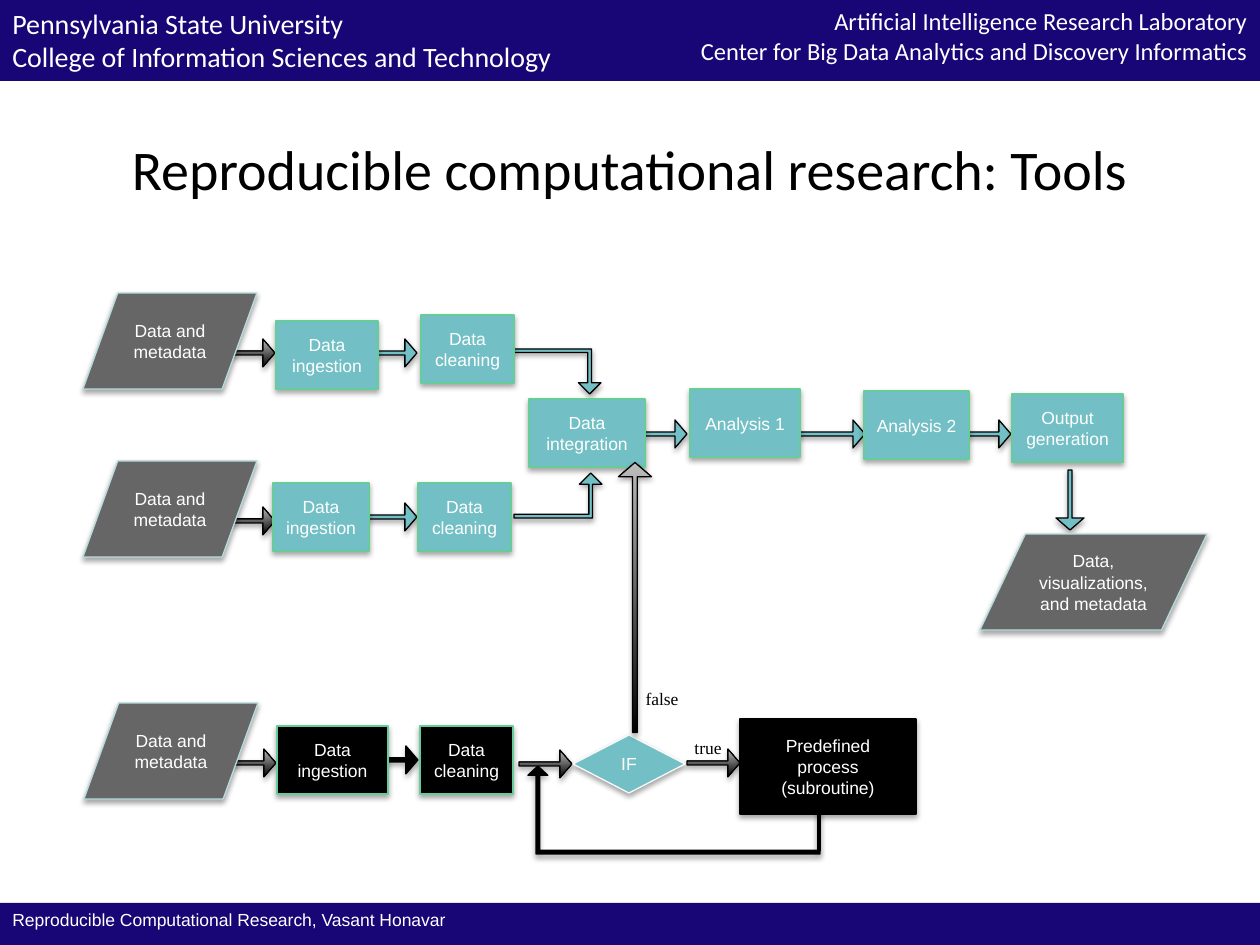
from lxml.etree import SubElement
from pptx import Presentation
from pptx.dml.color import RGBColor
from pptx.enum.shapes import MSO_CONNECTOR, MSO_SHAPE as Preset
from pptx.enum.text import MSO_ANCHOR as Anchor, PP_ALIGN as Align
from pptx.oxml.ns import qn
from pptx.util import Emu, Pt

NAVY = RGBColor(0x18, 0x05, 0x76)
TEAL = RGBColor(0x72, 0xBF, 0xC5)
GREEN = RGBColor(0x66, 0xCC, 0x99)
PALE = RGBColor(0xB6, 0xDC, 0xDF)
GRAY = RGBColor(0x66, 0x66, 0x66)
SILVER = RGBColor(0xBD, 0xBD, 0xBD)
SNOW = RGBColor(0xF9, 0xF9, 0xF9)
WHITE = RGBColor(0xFF, 0xFF, 0xFF)
BLACK = RGBColor(0, 0, 0)
FADE = [BLACK, SILVER]

WIDTH, HEIGHT = 1260, 945
SCALE = 914400 / 126

BANDS = [
    (["Pennsylvania State University", "College of Information Sciences and Technology"],
     (0, 0, 1260, 81), 16, "Calibri", Align.LEFT),
    (["Artificial Intelligence Research Laboratory",
      "Center for Big Data Analytics and Discovery Informatics"],
     (577, 0, 683, 72), 14, "Calibri", Align.RIGHT),
    (["Reproducible Computational Research, Vasant Honavar"],
     (0, 903, 1260, 42), 10, "Arial", Align.LEFT),
]
TITLE = ("Reproducible computational research: Tools", (0, 120, 1260, 97), 32, "Calibri")
LABELS = [
    ("false", (626, 682, 72, 34), 10, "Times New Roman"),
    ("true", (679, 731, 58, 34), 10, "Times New Roman"),
]

ARROW_SIZE = (53, 28)
ARROWS = [
    ((364, 503), ARROW_SIZE, TEAL, 0),
    ((364, 339), ARROW_SIZE, TEAL, 0),
    ((222, 507), ARROW_SIZE, FADE, 0),
    ((222, 339), ARROW_SIZE, FADE, 0),
    ((365, 746), ARROW_SIZE, BLACK, 0),
    ((223, 749), ARROW_SIZE, FADE, 0),
    ((687, 749), ARROW_SIZE, FADE, 0),
    ((519, 750), ARROW_SIZE, FADE, 0),
    ((645, 420), (42, 28), TEAL, 0),
    ((784, 420), (81, 28), TEAL, 0),
    ((958, 420), ARROW_SIZE, TEAL, 0),
    ((1040, 486), (60, 28), TEAL, 90),
]
FALSE_ARROW = ((500, 581), (270, 33), FADE, 270)
BENT_ARROWS = [
    ((514, 473, 88, 45), TEAL, None, (0.081, 0.25, 0.25)),
    ((513, 349, 88, 45), TEAL, "flipV", (0.081, 0.25, 0.25)),
    ((528, 766, 292, 88), BLACK, "flipH", (0.041, 0.113, 0.106)),
]
LOOP_LINE = ((819, 851), (819, 808))

KINDS = {
    "step": (Preset.FLOWCHART_PROCESS, 68, TEAL, GREEN),
    "dark step": (Preset.FLOWCHART_PROCESS, 68, BLACK, GREEN),
    "data": (Preset.FLOWCHART_DATA, 96, GRAY, PALE),
    "routine": (Preset.FLOWCHART_PREDEFINED_PROCESS, 95, BLACK, BLACK),
    "choice": (Preset.FLOWCHART_DECISION, 58, TEAL, SNOW),
}
NODES = [
    ("step", ["Data ingestion"], 276, 321, 102),
    ("data", ["Data and metadata"], 83, 293, 174),
    ("step", ["Data cleaning"], 421, 315, 93),
    ("step", ["Analysis 1"], 690, 389, 110),
    ("step", ["Output generation"], 1012, 394, 111),
    ("data", ["Data, visualizations, and metadata"], 980, 534, 227),
    ("data", ["Data and metadata"], 83, 461, 174),
    ("routine", ["Predefined process", "(subroutine)"], 740, 719, 176),
    ("step", ["Data ingestion"], 273, 483, 96),
    ("step", ["Data cleaning"], 418, 483, 93),
    ("step", ["Data integration"], 529, 399, 116),
    ("data", ["Data and metadata"], 84, 703, 174),
    ("dark step", ["Data ingestion"], 277, 726, 111),
    ("dark step", ["Data cleaning"], 420, 726, 93),
    ("choice", ["IF"], 573, 735, 112),
    ("step", ["Analysis 2"], 864, 391, 105),
]


def emu(*lengths):
    return [Emu(round(length * SCALE)) for length in lengths]


def write(shape, lines, size, font, color, align=Align.CENTER, anchor=Anchor.MIDDLE, wrap=True):
    frame = shape.text_frame
    frame.word_wrap = wrap
    frame.vertical_anchor = anchor
    frame.text = "\n".join(lines)
    for paragraph in frame.paragraphs:
        paragraph.alignment = align
        for name, value in {"size": Pt(size), "name": font}.items():
            setattr(paragraph.font, name, value)
        paragraph.font.color.rgb = color


def add_shadow(effects, opacity=35000, distance=23000):
    values = {"blurRad": 40000, "dist": distance, "dir": 5400000, "rotWithShape": 0}
    shadow = SubElement(effects, qn("a:outerShdw"), {name: str(value) for name, value in values.items()})
    color = SubElement(shadow, qn("a:srgbClr"), val=str(BLACK))
    SubElement(color, qn("a:alpha"), val=str(opacity))


def paint(shape, fill, line):
    if isinstance(fill, list):
        shape.fill.gradient()
        shape.fill.gradient_angle = 90
        for stop, color in zip(shape.fill.gradient_stops, fill):
            stop.color.rgb = color
        shape._element.spPr.find(qn("a:gradFill")).set("rotWithShape", "0")
    else:
        shape.fill.solid()
        shape.fill.fore_color.rgb = fill
    shape.shadow.inherit = False
    if line is None:
        shape.line.fill.background()
        return
    shape.line.color.rgb = line
    shape.line.width = Pt(0.75)
    add_shadow(shape._element.spPr.find(qn("a:effectLst")))


def add_shape(slide, preset, box, fill, line=None, adjustments=()):
    shape = slide.shapes.add_shape(preset, *emu(*box))
    paint(shape, fill, line)
    for index, value in enumerate(adjustments):
        shape.adjustments[index] = value
    return shape


def add_arrow(slide, corner, size, fill, rotation):
    arrow = add_shape(slide, Preset.RIGHT_ARROW, corner + size, fill, BLACK, (0.143, 0.43))
    arrow.rotation = rotation


def add_band(slide, lines, box, size, font, align):
    band = add_shape(slide, Preset.RECTANGLE, box, NAVY)
    write(band, lines, size, font, WHITE, align, Anchor.TOP)


def add_label(slide, text, box, size, font, anchor=Anchor.TOP, wrap=False):
    label = slide.shapes.add_textbox(*emu(*box))
    write(label, [text], size, font, BLACK, anchor=anchor, wrap=wrap)


def add_loop_line(slide):
    start, end = LOOP_LINE
    line = slide.shapes.add_connector(MSO_CONNECTOR.STRAIGHT, *emu(*start, *end))
    line.line.color.rgb = BLACK
    line.line.width = Pt(2.75)
    add_shadow(SubElement(line._element.spPr, qn("a:effectLst")), 38000, 20000)


def main():
    """Build the workflow slide and save it."""
    presentation = Presentation()
    presentation.slide_width, presentation.slide_height = emu(WIDTH, HEIGHT)
    slide = presentation.slides.add_slide(presentation.slide_layouts[6])
    for band in BANDS:
        add_band(slide, *band)
    add_label(slide, *TITLE, anchor=Anchor.MIDDLE, wrap=True)
    for box, fill, flip, adjustments in BENT_ARROWS:
        arrow = add_shape(slide, Preset.BENT_UP_ARROW, box, fill, BLACK, adjustments)
        if flip:
            arrow._element.spPr.xfrm.set(flip, "1")
    for arrow in ARROWS:
        add_arrow(slide, *arrow)
    add_loop_line(slide)
    for label in LABELS:
        add_label(slide, *label)
    for kind, lines, left, top, width in NODES:
        preset, height, fill, line = KINDS[kind]
        node = add_shape(slide, preset, (left, top, width, height), fill, line)
        write(node, lines, 10, "Arial", WHITE)
    add_arrow(slide, *FALSE_ARROW)
    presentation.save("out.pptx")


if __name__ == "__main__":
    main()
